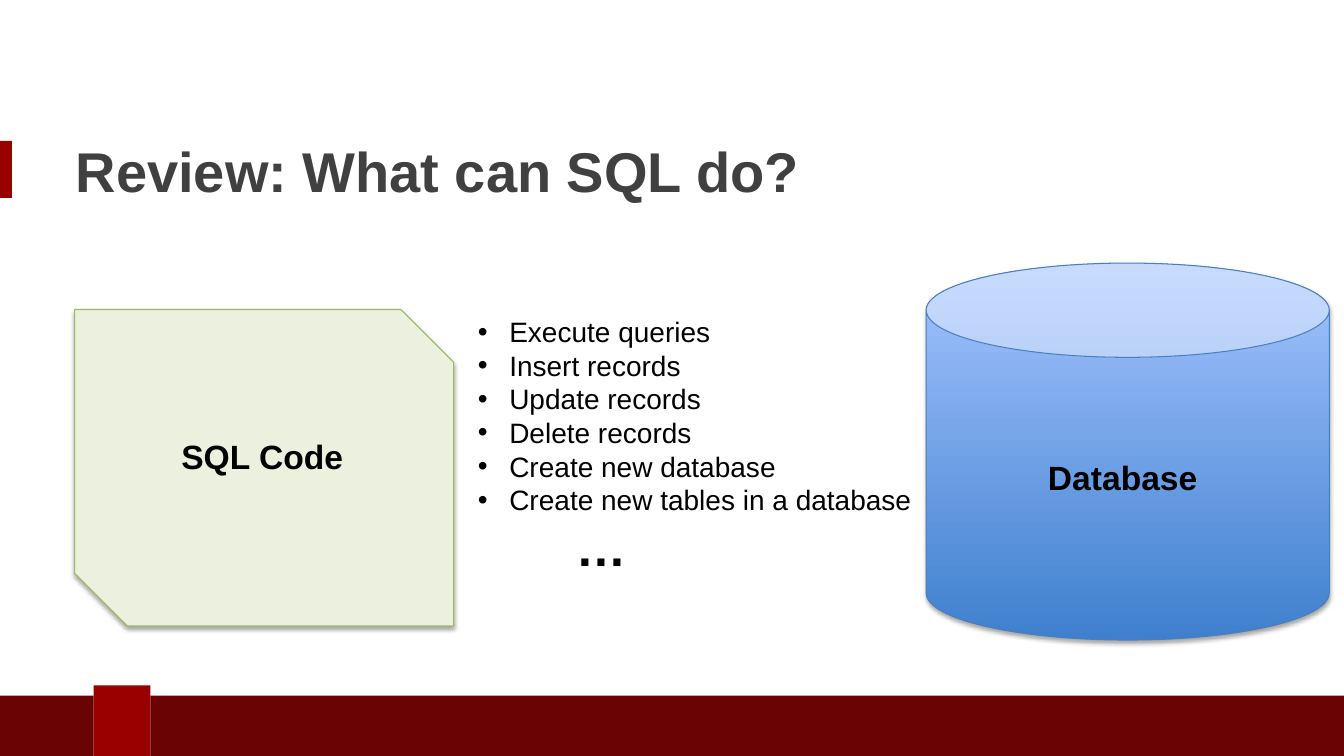
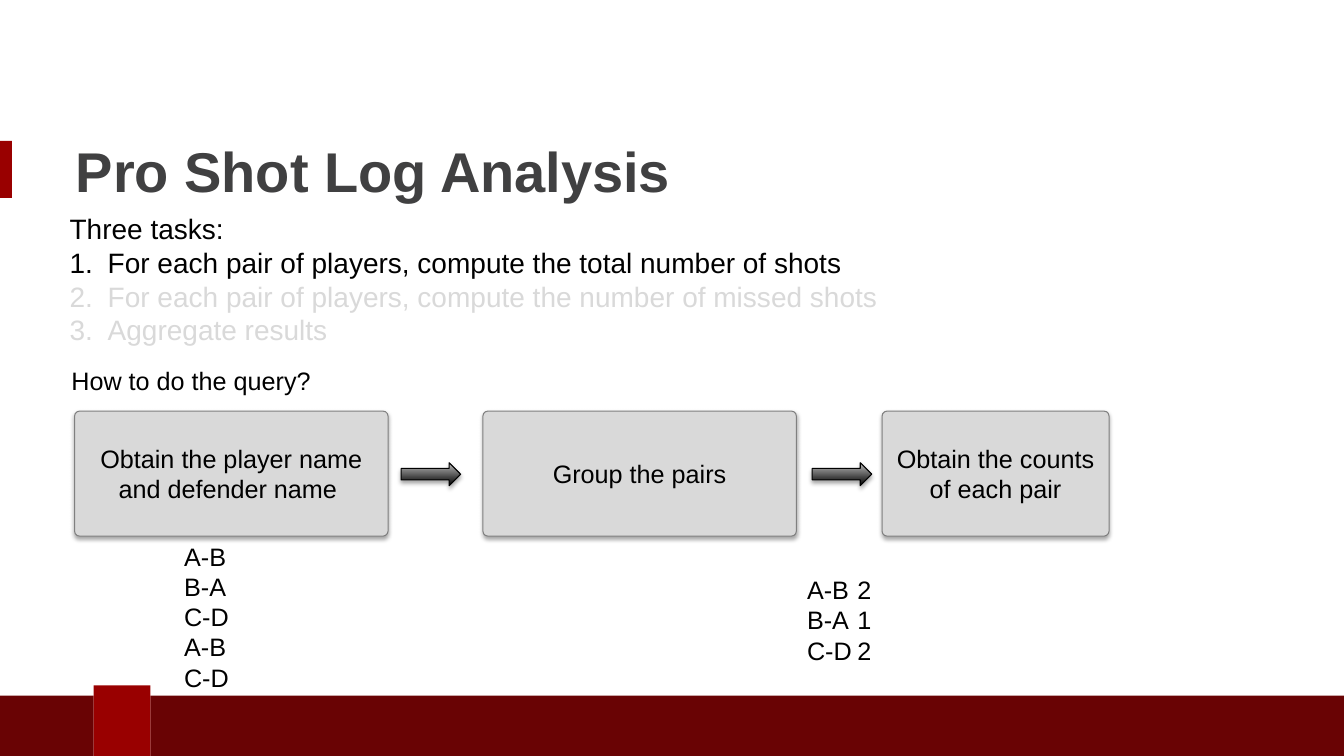
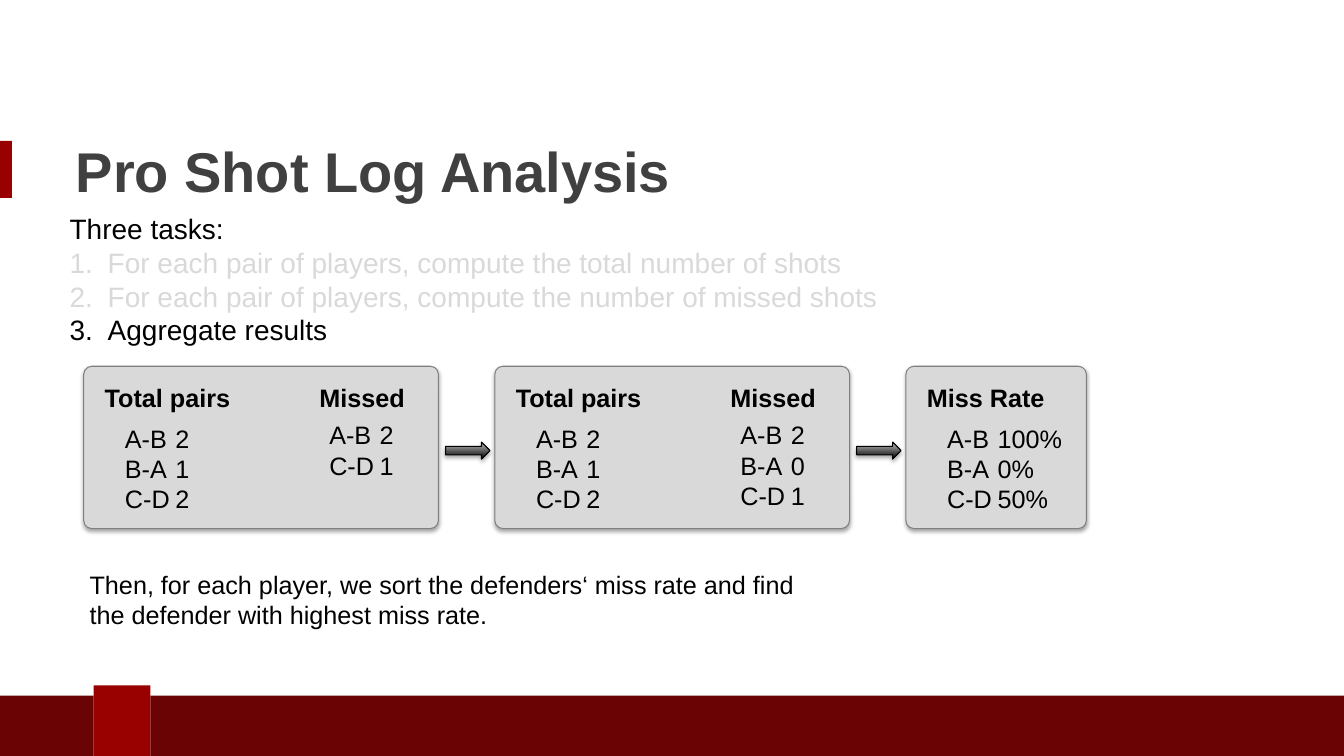
from dataclasses import dataclass
from typing import Optional, Sequence

from lxml.etree import SubElement
from pptx import Presentation
from pptx.dml.color import RGBColor
from pptx.enum.shapes import MSO_SHAPE
from pptx.enum.text import MSO_ANCHOR, MSO_AUTO_SIZE, PP_ALIGN
from pptx.oxml.ns import qn
from pptx.util import Cm, Pt

FONT = "Arial"
COLORS = {
    "accent": "990000",
    "band": "690304",
    "title": "404041",
    "text": "000000",
    "muted": "D9D9D9",
    "card": "D9D9D9",
    "card_line": "808080",
    "code": "EBF1DE",
    "code_line": "9BBB59",
    "database_bottom": "3F80CE",
    "database_top": "A4C4FF",
    "database_line": "4B7EBC",
    "arrow_bottom": "000000",
    "arrow_top": "BDBDBD",
    "arrow_line": "000000",
}
TASKS = (
    "For each pair of players, compute the total number of shots",
    "For each pair of players, compute the number of missed shots",
    "Aggregate results",
)
LOG_TITLE = "Pro Shot Log Analysis"
TOTALS = ("A-B\t2", "B-A\t1", "C-D\t2")
COUNT_TAB = 1.42


@dataclass(frozen=True)
class Box:
    """A rectangle in centimetres."""
    left: float
    top: float
    width: float
    height: float

    def lengths(self) -> tuple:
        return Cm(self.left), Cm(self.top), Cm(self.width), Cm(self.height)


@dataclass(frozen=True)
class Line:
    """One paragraph; marker is None, "bullet" or "number"."""
    text: str
    size: float = 18
    bold: bool = False
    color: str = "text"
    marker: Optional[str] = None
    margin: float = 0
    tab: Optional[float] = None


@dataclass(frozen=True)
class Look:
    """Fill colours from bottom to top, and an outline colour."""
    fill: Sequence[str]
    line: str


@dataclass(frozen=True)
class Column:
    heading: str
    rows: Sequence[str]


CARD = Look(("card",), "card_line")
CODE = Look(("code",), "code_line")
DATABASE = Look(("database_bottom", "database_top"), "database_line")
ARROW = Look(("arrow_bottom", "arrow_top"), "arrow_line")

BANDS = (
    (Box(0, 3.55, 0.3, 1.44), "accent"),
    (Box(0, 17.53, 2.36, 1.52), "band"),
    (Box(3.79, 17.53, 30.08, 1.52), "band"),
    (Box(2.36, 17.27, 1.43, 1.78), "accent"),
)


def rgb(name: str) -> RGBColor:
    return RGBColor.from_string(COLORS[name])


def place(shape, box: Box) -> None:
    shape.left, shape.top, shape.width, shape.height = box.lengths()


def format_list(paragraph, line: Line) -> None:
    """Set indent, marker and tab stop; needs an untouched paragraph."""
    properties = paragraph._p.get_or_add_pPr()
    properties.set("marL", str(Cm(line.margin)))
    properties.set("indent", str(-Cm(line.margin) if line.marker else 0))
    if line.marker == "bullet":
        SubElement(properties, qn("a:buFont"), typeface=FONT)
        SubElement(properties, qn("a:buChar"), char="•")
    elif line.marker == "number":
        SubElement(properties, qn("a:buFont"), typeface=FONT)
        SubElement(properties, qn("a:buAutoNum"), type="arabicPeriod")
    else:
        SubElement(properties, qn("a:buNone"))
    if line.tab is not None:
        tabs = SubElement(properties, qn("a:tabLst"))
        SubElement(tabs, qn("a:tab"), pos=str(Cm(line.tab)), algn="l")


def write(shape, lines: Sequence[Line], align=PP_ALIGN.LEFT) -> None:
    frame = shape.text_frame
    frame.word_wrap = True
    for index, line in enumerate(lines):
        paragraph = frame.add_paragraph() if index else frame.paragraphs[0]
        format_list(paragraph, line)
        paragraph.alignment = align
        paragraph.space_before = Pt(0)
        run = paragraph.add_run()
        run.text = line.text
        run.font.name = FONT
        run.font.size = Pt(line.size)
        run.font.bold = line.bold
        run.font.color.rgb = rgb(line.color)


def add_text(slide, box: Box, lines: Sequence[Line]) -> None:
    shape = slide.shapes.add_textbox(*box.lengths())
    write(shape, lines)
    shape.text_frame.auto_size = MSO_AUTO_SIZE.SHAPE_TO_FIT_TEXT


def add_figure(slide, kind, box: Box, look: Look, corner: Optional[float] = None):
    """Add a preset shape with an outline and a soft shadow."""
    shape = slide.shapes.add_shape(kind, *box.lengths())
    if corner is not None:
        shape.adjustments[0] = corner
    if len(look.fill) == 1:
        shape.fill.solid()
        shape.fill.fore_color.rgb = rgb(look.fill[0])
    else:
        shape.fill.gradient()
        shape.fill.gradient_angle = 90
        for stop, name in zip(shape.fill.gradient_stops, look.fill):
            stop.color.rgb = rgb(name)
    shape.line.color.rgb = rgb(look.line)
    shape.line.width = Pt(0.75)
    shape.shadow.inherit = False
    effects = shape._element.spPr.find(qn("a:effectLst"))
    shadow = SubElement(effects, qn("a:outerShdw"), blurRad=str(Pt(3.1)),
                        dist=str(Pt(1.8)), dir="5400000", rotWithShape="0")
    color = SubElement(shadow, qn("a:srgbClr"), val=COLORS["text"])
    SubElement(color, qn("a:alpha"), val="35000")
    return shape


def prepare_layout(layout, slide) -> None:
    """Put the title position and the bands on the layout, behind all else."""
    place(layout.placeholders[0], Box(1.88, 3.4, 25.2, 1.75))
    for index, (box, color) in enumerate(BANDS):
        shape = slide.shapes.add_shape(MSO_SHAPE.RECTANGLE, *box.lengths())
        shape.fill.solid()
        shape.fill.fore_color.rgb = rgb(color)
        shape.line.fill.background()
        shape.shadow.inherit = False
        layout.shapes.element.insert(2 + index, shape._element)


def fill_placeholders(slide, title: str, body_box: Box, lines: Sequence[Line]) -> None:
    heading = slide.shapes.title
    write(heading, [Line(title, 40, True, "title", margin=0.03)])
    frame = heading.text_frame
    frame.auto_size = MSO_AUTO_SIZE.SHAPE_TO_FIT_TEXT
    frame.vertical_anchor = MSO_ANCHOR.MIDDLE
    frame.margin_left = frame.margin_right = frame.margin_bottom = 0
    frame.margin_top = Cm(0.03)
    body = slide.placeholders[1]
    place(body, body_box)
    write(body, lines)
    body.text_frame.auto_size = MSO_AUTO_SIZE.SHAPE_TO_FIT_TEXT


def fill_tasks(slide, current: int) -> None:
    """Write the title and the task list with only the current task in black."""
    lines = [Line("Three tasks:", 20)]
    for index, task in enumerate(TASKS):
        color = "text" if index == current else "muted"
        lines.append(Line(task, 20, color=color, marker="number", margin=0.96))
    fill_placeholders(slide, LOG_TITLE, Box(1.5, 5.21, 28.88, 3.68), lines)


def count_lines(rows: Sequence[str]) -> list:
    return [Line(row, tab=COUNT_TAB) for row in rows]


def build_review(slide) -> None:
    abilities = ("Execute queries", "Insert records", "Update records",
                 "Delete records", "Create new database",
                 "Create new tables in a database")
    lines = [Line(text, 20, marker="bullet", margin=0.79) for text in abilities]
    lines.append(Line("…", 36, True, margin=2.47))
    fill_placeholders(slide, "Review: What can SQL do?",
                      Box(11.79, 7.8, 13.46, 6.93), lines)
    add_figure(slide, MSO_SHAPE.CAN, Box(23.34, 6.63, 10.16, 9.5), DATABASE)
    add_figure(slide, MSO_SHAPE.SNIP_2_DIAG_RECTANGLE,
               Box(1.88, 7.8, 9.55, 7.97), CODE)
    add_text(slide, Box(4.32, 10.85, 6.35, 1.27), [Line("SQL Code", 24, True)])
    add_text(slide, Box(26.16, 11.38, 6.76, 1.27), [Line("Database", 24, True)])


def build_query(slide) -> None:
    fill_tasks(slide, 0)
    add_text(slide, Box(1.55, 9.09, 8.59, 1.02), [Line("How to do the query?")])
    steps = (
        (1.88, 7.9, "Obtain the player name and defender name "),
        (12.17, 7.9, "Group the pairs"),
        (22.23, 5.72, "Obtain the counts of each pair"),
    )
    for left, width, text in steps:
        step = add_figure(slide, MSO_SHAPE.ROUNDED_RECTANGLE,
                          Box(left, 10.36, width, 3.15), CARD, 0.04)
        write(step, [Line(text)], PP_ALIGN.CENTER)
        step.text_frame.vertical_anchor = MSO_ANCHOR.MIDDLE
    for left in (10.11, 20.47):
        add_figure(slide, MSO_SHAPE.RIGHT_ARROW, Box(left, 11.66, 1.5, 0.58), ARROW)
    pairs = ("A-B", "B-A", "C-D", "A-B", "C-D")
    add_text(slide, Box(4.39, 13.51, 5.41, 4.11), [Line(pair) for pair in pairs])
    add_text(slide, Box(20.09, 14.35, 5.41, 2.57), count_lines(TOTALS))


def build_aggregate(slide) -> None:
    fill_tasks(slide, 2)
    total = Column("Total pairs", TOTALS)
    cards = (
        (8.94, (total, Column("Missed", ("A-B\t2", "C-D\t1")))),
        (8.94, (total, Column("Missed", ("A-B\t2", "B-A\t0", "C-D\t1")))),
        (4.55, (Column("Miss Rate", ("A-B\t100%", "B-A\t0%", "C-D\t50%")),)),
    )
    first_left, top, pitch = 2.11, 9.23, 10.36
    offsets = ((0.28, 0.79, 1.3), (5.69, 5.94, 1.22))
    for index, (width, columns) in enumerate(cards):
        left = first_left + index * pitch
        add_figure(slide, MSO_SHAPE.ROUNDED_RECTANGLE,
                   Box(left, top, width, 4.09), CARD, 0.05)
        for column, (heading_left, rows_left, rows_top) in zip(columns, offsets):
            add_text(slide, Box(left + heading_left, top + 0.28, 5.66, 1.02),
                     [Line(column.heading, bold=True)])
            add_text(slide, Box(left + rows_left, top + rows_top, 5.41,
                                0.25 + 0.77 * len(column.rows)),
                     count_lines(column.rows))
        if index < len(cards) - 1:
            add_figure(slide, MSO_SHAPE.RIGHT_ARROW,
                       Box(left + 9.12, 11.14, 1.12, 0.43), ARROW)
    add_text(slide, Box(2.01, 14.22, 18.44, 1.8), [Line(
        "Then, for each player, we sort the defenders‘ miss rate and find "
        "the defender with highest miss rate.")])


def main() -> None:
    presentation = Presentation()
    presentation.slide_width, presentation.slide_height = Cm(33.87), Cm(19.05)
    layout = presentation.slide_layouts[1]
    builders = (build_review, build_query, build_aggregate)
    slides = [presentation.slides.add_slide(layout) for _ in builders]
    prepare_layout(layout, slides[0])
    for build, slide in zip(builders, slides):
        build(slide)
    presentation.save("out.pptx")


if __name__ == "__main__":
    main()
